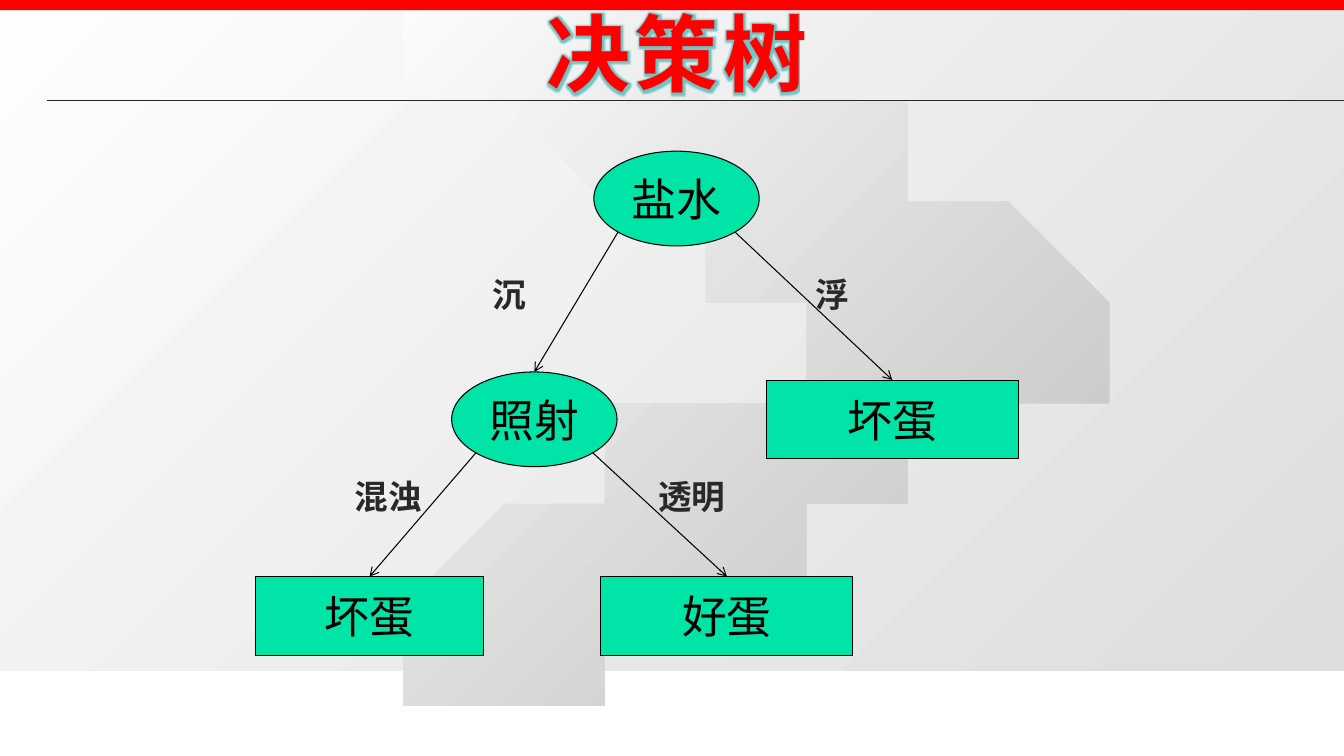
from math import sqrt

from lxml import etree
from pptx import Presentation
from pptx.dml.color import RGBColor
from pptx.enum.shapes import MSO_CONNECTOR, MSO_SHAPE
from pptx.enum.text import MSO_ANCHOR, PP_ALIGN
from pptx.oxml import parse_xml
from pptx.oxml.ns import nsdecls, qn
from pptx.util import Inches, Pt

RED = RGBColor(0xFF, 0x00, 0x00)
GREEN = RGBColor(0x00, 0xE4, 0xA8)
BLACK = RGBColor(0x00, 0x00, 0x00)
DARK = RGBColor(0x29, 0x29, 0x29)
WHITE = RGBColor(0xFF, 0xFF, 0xFF)
SILVER = RGBColor(0xC0, 0xC0, 0xC0)
PALE = RGBColor(0xFD, 0xFD, 0xFD)
GRAY = RGBColor(0xDD, 0xDD, 0xDD)
PINK = RGBColor(0xFF, 0xF4, 0xF4)
TEAL = RGBColor(0x6F, 0xC4, 0xC4)
BODY_FONT = "Noto Sans CJK JP"
TITLE_FONT = "Noto Sans CJK SC"

NODE_WIDTH, NODE_HEIGHT = 1.64, 0.94
LEAF_HEIGHT = 0.78
CHEVRON_START = (10.64, 3.76)
CHEVRON = [
    [(10.19, 4.04), (6.56, 6.2), (5.72, 6.64)],
    [(4.27, 6.64)],
    [(4.04, 6.45), (3.64, 6.08), (4.31, 5.5)],
    [(6.27, 4.33), (7.5, 3.61), (8.33, 3.15)],
    [(5.79, 1.69), (3.89, 0.53), (3.24, 0.1)],
    [(4.73, 0.08), (6.21, 0.1), (6.21, 0.1)],
    [(7.19, 0.65), (10.18, 2.3), (10.64, 2.59)],
    [(11.11, 2.89), (11.09, 3.47), (10.64, 3.76)],
]


def write_text(shape, text, size, color, font=BODY_FONT, bold=False,
               align=PP_ALIGN.LEFT, anchor=MSO_ANCHOR.TOP, wrap=True):
    """Put one formatted run in a shape and return it."""
    frame = shape.text_frame
    frame.word_wrap = wrap
    frame.vertical_anchor = anchor
    paragraph = frame.paragraphs[0]
    paragraph.alignment = align
    run = paragraph.add_run()
    run.text = text
    run.font.size = Pt(size)
    run.font.bold = bold
    run.font.color.rgb = color
    run.font.name = font
    east_asian = etree.SubElement(run.font._element, qn("a:ea"))
    east_asian.set("typeface", font)
    return run


def add_box(slide, kind, left, top, width, height, fill, line=None):
    """Add a flat preset shape."""
    shape = slide.shapes.add_shape(
        kind, Inches(left), Inches(top), Inches(width), Inches(height))
    shape.shadow.inherit = False
    shape.fill.solid()
    shape.fill.fore_color.rgb = fill
    if line is None:
        shape.line.fill.background()
    else:
        shape.line.color.rgb = line
        shape.line.width = Pt(0.75)
    return shape


def fill_gradient(shape, start, end):
    """Shade a shape from its top left to its bottom right."""
    shape.fill.gradient()
    shape.fill.gradient_angle = 315
    for stop, color, position in zip(
            shape.fill.gradient_stops, (start, end), (0, 1)):
        stop.color.rgb = color
        stop.position = position


def curve_points(start, controls, steps=16):
    """Return points along a cubic curve."""
    corners = [start, *controls]
    weights = (1, 3, 3, 1)
    return [
        tuple(sum(weight * (1 - t) ** (3 - i) * t ** i * corner[axis]
                  for i, (weight, corner) in enumerate(zip(weights, corners)))
              for axis in (0, 1))
        for t in (step / steps for step in range(1, steps + 1))
    ]


def add_chevron(slide):
    """Add the rounded background chevron."""
    points = [CHEVRON_START]
    for segment in CHEVRON:
        points += curve_points(points[-1], segment) if len(segment) == 3 else segment
    builder = slide.shapes.build_freeform(*points[0], scale=Inches(1))
    builder.add_line_segments(points[1:], close=True)
    shape = builder.convert_to_shape()
    shape.shadow.inherit = False
    shape.line.fill.background()
    fill_gradient(shape, WHITE, SILVER)


def add_line(slide, start, end, color, width, arrow=False):
    """Add a straight line, with an arrowhead at its end if asked."""
    connector = slide.shapes.add_connector(
        MSO_CONNECTOR.STRAIGHT, *(Inches(value) for value in (*start, *end)))
    connector.line.color.rgb = color
    connector.line.width = Pt(width)
    if arrow:
        line = connector.line._get_or_add_ln()
        etree.SubElement(line, qn("a:tailEnd")).set("type", "arrow")
    etree.SubElement(connector._element.spPr, qn("a:effectLst"))


def add_tree_box(slide, kind, text, left, top, width, height):
    """Add a labelled box of the tree."""
    shape = add_box(slide, kind, left, top, width, height, GREEN, BLACK)
    write_text(shape, text, 32, BLACK, align=PP_ALIGN.CENTER,
               anchor=MSO_ANCHOR.MIDDLE, wrap=False)


def add_node(slide, text, left, top, targets):
    """Add a test node with arrows from its lower corners to two targets."""
    add_tree_box(slide, MSO_SHAPE.OVAL, text, left, top, NODE_WIDTH, NODE_HEIGHT)
    reach = sqrt(0.5) / 2
    for side, target in zip((-1, 1), targets):
        start = (left + NODE_WIDTH * (0.5 + side * reach),
                 top + NODE_HEIGHT * (0.5 + reach))
        add_line(slide, start, target, BLACK, 0.75, arrow=True)


def add_leaf(slide, text, left, top, width):
    """Add a result box and return the middle of its top edge."""
    add_tree_box(slide, MSO_SHAPE.RECTANGLE, text, left, top, width, LEAF_HEIGHT)
    return left + width / 2, top


def add_text_box(slide, text, left, top, width, height, **style):
    """Add a text box and return its run."""
    box = slide.shapes.add_textbox(
        Inches(left), Inches(top), Inches(width), Inches(height))
    return write_text(box, text, bold=True, **style)


def add_title(slide):
    """Add the glowing title."""
    run = add_text_box(slide, "决策树", 3.51, -0.03, 6.41, 1.11, size=60,
                       color=RED, font=TITLE_FONT, align=PP_ALIGN.CENTER)
    properties = run.font._element
    properties.set("spc", "300")
    properties.insert(0, parse_xml(
        f'<a:ln {nsdecls("a")} w="{Pt(0.9)}"><a:solidFill>'
        f'<a:srgbClr val="{PINK}"/></a:solidFill></a:ln>'))
    properties.find(qn("a:solidFill")).addnext(parse_xml(
        f'<a:effectLst {nsdecls("a")}><a:glow rad="{Pt(5)}">'
        f'<a:srgbClr val="{TEAL}"/></a:glow></a:effectLst>'))


def add_background(slide):
    """Add the shaded panel, the chevron, the red band and the title rule."""
    panel = add_box(slide, MSO_SHAPE.RECTANGLE, 0, 0.08, 13.33, 6.57, PALE)
    fill_gradient(panel, PALE, GRAY)
    add_chevron(slide)
    add_box(slide, MSO_SHAPE.RECTANGLE, 0, 0, 13.33, 0.1, RED)
    add_line(slide, (0.47, 1), (13.33, 1), DARK, 1)


def main():
    """Build the decision tree slide."""
    presentation = Presentation()
    presentation.slide_width = Inches(13.33)
    presentation.slide_height = Inches(7.5)
    slide = presentation.slides.add_slide(presentation.slide_layouts[6])
    add_background(slide)
    floating = add_leaf(slide, "坏蛋", 7.6, 3.77, 2.5)
    cloudy = add_leaf(slide, "坏蛋", 2.53, 5.72, 2.27)
    clear = add_leaf(slide, "好蛋", 5.96, 5.72, 2.5)
    add_node(slide, "盐水", 5.89, 1.5, [(4.48 + NODE_WIDTH / 2, 3.69), floating])
    add_node(slide, "照射", 4.48, 3.69, [cloudy, clear])
    for text, left, top, width in [
        ("沉", 4.79, 2.67, 1.22),
        ("浮", 7.99, 2.67, 1.22),
        ("混浊", 3.42, 4.67, 1.08),
        ("透明", 6.43, 4.67, 1.08),
    ]:
        add_text_box(slide, text, left, top, width, 0.5, size=24, color=DARK)
    add_title(slide)
    presentation.save("out.pptx")


if __name__ == "__main__":
    main()
